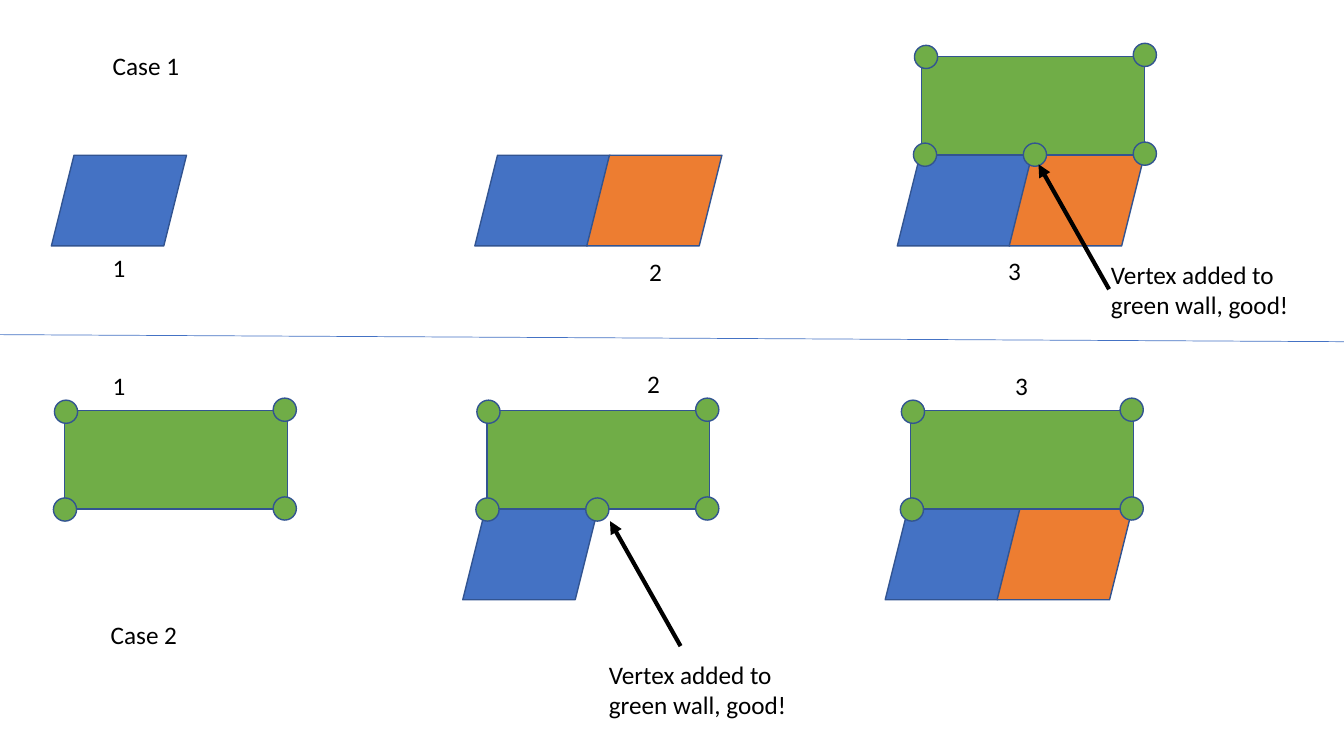
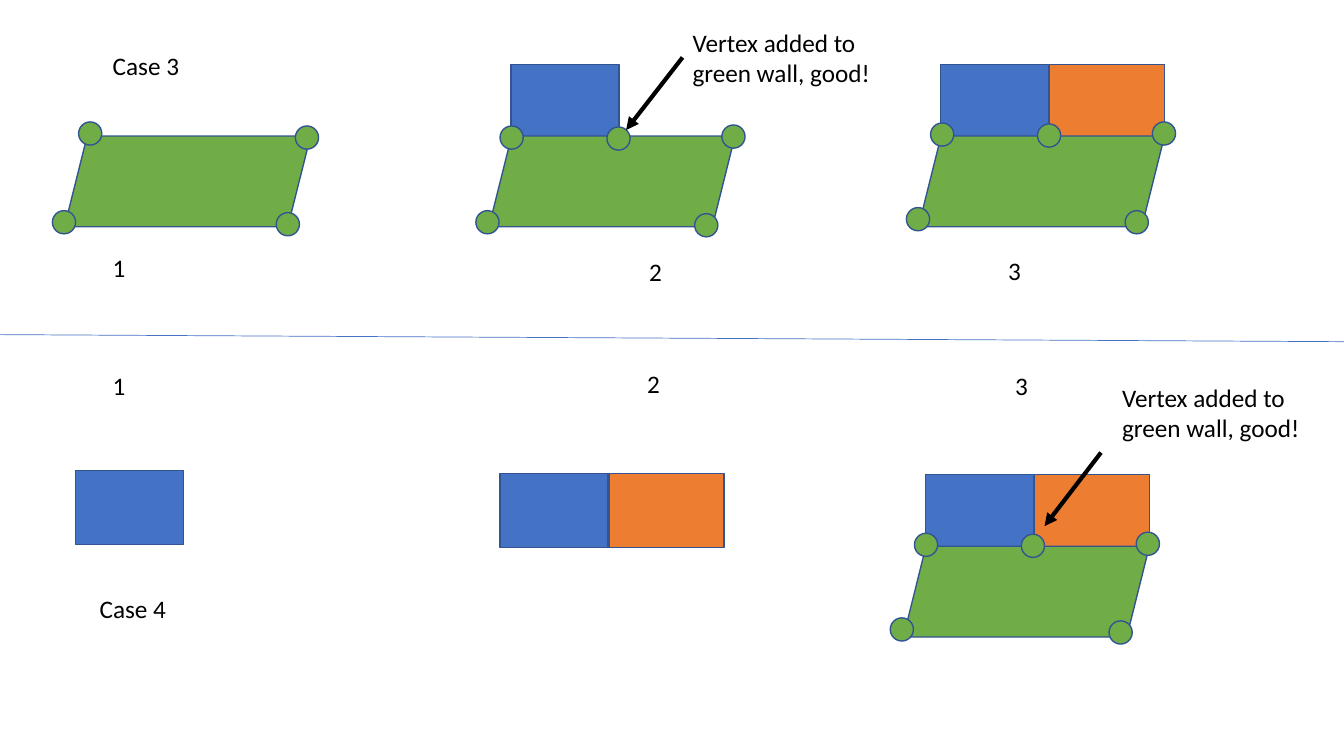
import dataclasses
import typing

import lxml.etree
import pptx
import pptx.dml.color
import pptx.enum.shapes
import pptx.enum.text
import pptx.oxml.ns
import pptx.shapes.autoshape
import pptx.slide
import pptx.util

Inches = pptx.util.Inches
qn = pptx.oxml.ns.qn
MSO_SHAPE = pptx.enum.shapes.MSO_SHAPE
Point = typing.Tuple[float, float]


@dataclasses.dataclass(frozen=True)
class Theme:
    blue: str = "4472C4"
    orange: str = "ED7D31"
    green: str = "70AD47"
    outline: str = "325491"
    ink: str = "000000"
    font: str = "Calibri"
    text_pt: float = 18
    outline_pt: float = 1
    arrow_pt: float = 3
    divider_pt: float = 0.5


@dataclasses.dataclass(frozen=True)
class Style:
    tile_shape: MSO_SHAPE
    tile_widths: Point
    tile_height: float
    pitch: float
    wall_shape: MSO_SHAPE
    wall_size: Point
    corners: typing.Tuple[Point, ...]
    middle: Point


@dataclasses.dataclass(frozen=True)
class Step:
    tiles: typing.Optional[Point] = None
    tile_count: int = 0
    wall: typing.Optional[Point] = None
    vertex: typing.Optional[Point] = None
    middle: bool = False


@dataclasses.dataclass(frozen=True)
class Note:
    at: Point
    start: Point
    end: Point


@dataclasses.dataclass(frozen=True)
class Case:
    name: str
    name_at: Point
    style: Style
    steps: typing.Tuple[Step, ...]
    note: Note


THEME = Theme()
SLIDE_W, SLIDE_H = 13.33, 7.5
VERTEX = 0.23
NOTE_TEXT = "Vertex added to green wall, good!"
NOTE_SIZE = (2.21, 0.71)
NAME_SIZE = (0.87, 0.4)
NUMBER_SIZE = (0.33, 0.4)
NUMBER_ROWS = (
    ((1.02, 2.45), (6.34, 2.49), (9.9, 2.48)),
    ((1.02, 3.62), (6.32, 3.61), (9.97, 3.62)),
)
DIVIDER = ((0, 3.32), (SLIDE_W, 3.39))

SLANTED_TILES = Style(
    MSO_SHAPE.PARALLELOGRAM, (1.34, 1.34), 0.9, 1.11,
    MSO_SHAPE.RECTANGLE, (2.21, 0.98),
    ((0, 0), (2.17, -0.02), (2.17, 0.96), (-0.01, 0.97)), (1.08, 0.97),
)
UPRIGHT_TILES = Style(
    MSO_SHAPE.RECTANGLE, (1.07, 1.14), 0.73, 1.08,
    MSO_SHAPE.PARALLELOGRAM, (2.44, 0.9),
    ((0, 0), (2.2, -0.01), (1.93, 0.87), (-0.24, 0.84)), (1.06, 0.01),
)
LONE_WALL = dataclasses.replace(
    UPRIGHT_TILES, corners=((0, 0), (2.15, 0.04), (1.96, 0.9), (-0.26, 0.88))
)

SLIDES = (
    (
        Case("Case 1", (1.02, 0.45), SLANTED_TILES, (
            Step((0.51, 1.54), 1),
            Step((4.71, 1.54), 2),
            Step((8.9, 1.54), 2, (9.14, 0.56), (9.07, 0.45), True),
        ), Note((10.92, 2.52), (11, 2.87), (10.3, 1.63))),
        Case("Case 2", (1, 6.09), SLANTED_TILES, (
            Step(wall=(0.64, 4.07), vertex=(0.54, 3.97)),
            Step((4.59, 5.05), 1, (4.83, 4.07), (4.73, 3.97), True),
            Step((8.78, 5.05), 2, (9.03, 4.07), (8.94, 3.97)),
        ), Note((5.94, 6.49), (6.75, 6.41), (6.05, 5.17))),
    ),
    (
        Case("Case 3", (1.02, 0.45), UPRIGHT_TILES, (
            Step(wall=(0.64, 1.35), vertex=(0.78, 1.21)),
            Step((5.07, 0.64), 1, (4.85, 1.35), (4.96, 1.25), True),
            Step((9.33, 0.64), 2, (9.11, 1.35), (9.23, 1.22), True),
        ), Note((6.77, 0.22), (6.77, 0.57), (6.21, 1.29))),
        Case("Case 4", (0.89, 5.84), UPRIGHT_TILES, (
            Step((0.75, 4.67), 1),
            Step((4.96, 4.7), 2),
            Step((9.18, 4.71), 2, (8.96, 5.42), (9.07, 5.29), True),
        ), Note((11.03, 3.74), (10.92, 4.49), (10.36, 5.22))),
    ),
)


def rgb(color: str) -> pptx.dml.color.RGBColor:
    return pptx.dml.color.RGBColor.from_string(color)


def add_block(s: pptx.slide.Slide, shape: MSO_SHAPE, at: Point,
              size: Point, color: str) -> None:
    sp = s.shapes.add_shape(shape, *map(Inches, at + size))
    sp.shadow.inherit = False
    sp.fill.solid()
    sp.fill.fore_color.rgb = rgb(color)
    sp.line.color.rgb = rgb(THEME.outline)
    sp.line.width = pptx.util.Pt(THEME.outline_pt)


def add_text(s: pptx.slide.Slide, text: str, at: Point, size: Point,
             wrap: bool = False) -> None:
    tf = s.shapes.add_textbox(*map(Inches, at + size)).text_frame
    tf.word_wrap = wrap
    tf.auto_size = pptx.enum.text.MSO_AUTO_SIZE.SHAPE_TO_FIT_TEXT
    r = tf.paragraphs[0].add_run()
    r.text = text
    r.font.name = THEME.font
    r.font.size = pptx.util.Pt(THEME.text_pt)
    r.font.color.rgb = rgb(THEME.ink)


def add_line(s: pptx.slide.Slide, start: Point, end: Point, color: str,
             width: float, arrow: bool = False) -> None:
    sp = s.shapes.add_connector(
        pptx.enum.shapes.MSO_CONNECTOR.STRAIGHT, *map(Inches, start + end))
    sp.line.color.rgb = rgb(color)
    sp.line.width = pptx.util.Pt(width)
    props = sp.element.spPr
    if arrow:
        lxml.etree.SubElement(props.find(qn("a:ln")), qn("a:tailEnd"), type="triangle")
    lxml.etree.SubElement(props, qn("a:effectLst"))


def add_step(s: pptx.slide.Slide, step: Step, style: Style) -> None:
    if step.tiles:
        x, y = step.tiles
        colors = (THEME.blue, THEME.orange)[:step.tile_count]
        for i, (color, width) in enumerate(zip(colors, style.tile_widths)):
            add_block(s, style.tile_shape, (x + i * style.pitch, y),
                      (width, style.tile_height), color)
    if step.wall:
        add_block(s, style.wall_shape, step.wall, style.wall_size, THEME.green)
    if step.vertex:
        x, y = step.vertex
        offsets = style.corners + ((style.middle,) if step.middle else ())
        for dx, dy in offsets:
            add_block(s, MSO_SHAPE.OVAL, (x + dx, y + dy),
                      (VERTEX, VERTEX), THEME.green)


def add_case(s: pptx.slide.Slide, case: Case,
             numbers: typing.Tuple[Point, ...]) -> None:
    add_text(s, case.name, case.name_at, NAME_SIZE)
    for i, (step, at) in enumerate(zip(case.steps, numbers), 1):
        lone = case.style is UPRIGHT_TILES and not step.tiles
        add_step(s, step, LONE_WALL if lone else case.style)
        add_text(s, str(i), at, NUMBER_SIZE)
    add_line(s, case.note.start, case.note.end, THEME.ink, THEME.arrow_pt, arrow=True)
    add_text(s, NOTE_TEXT, case.note.at, NOTE_SIZE, wrap=True)


def main() -> None:
    prs = pptx.Presentation()
    prs.slide_width, prs.slide_height = Inches(SLIDE_W), Inches(SLIDE_H)
    for cases in SLIDES:
        s = prs.slides.add_slide(prs.slide_layouts.get_by_name("Blank"))
        add_line(s, *DIVIDER, THEME.blue, THEME.divider_pt)
        for case, numbers in zip(cases, NUMBER_ROWS):
            add_case(s, case, numbers)
    prs.save("out.pptx")


main()
